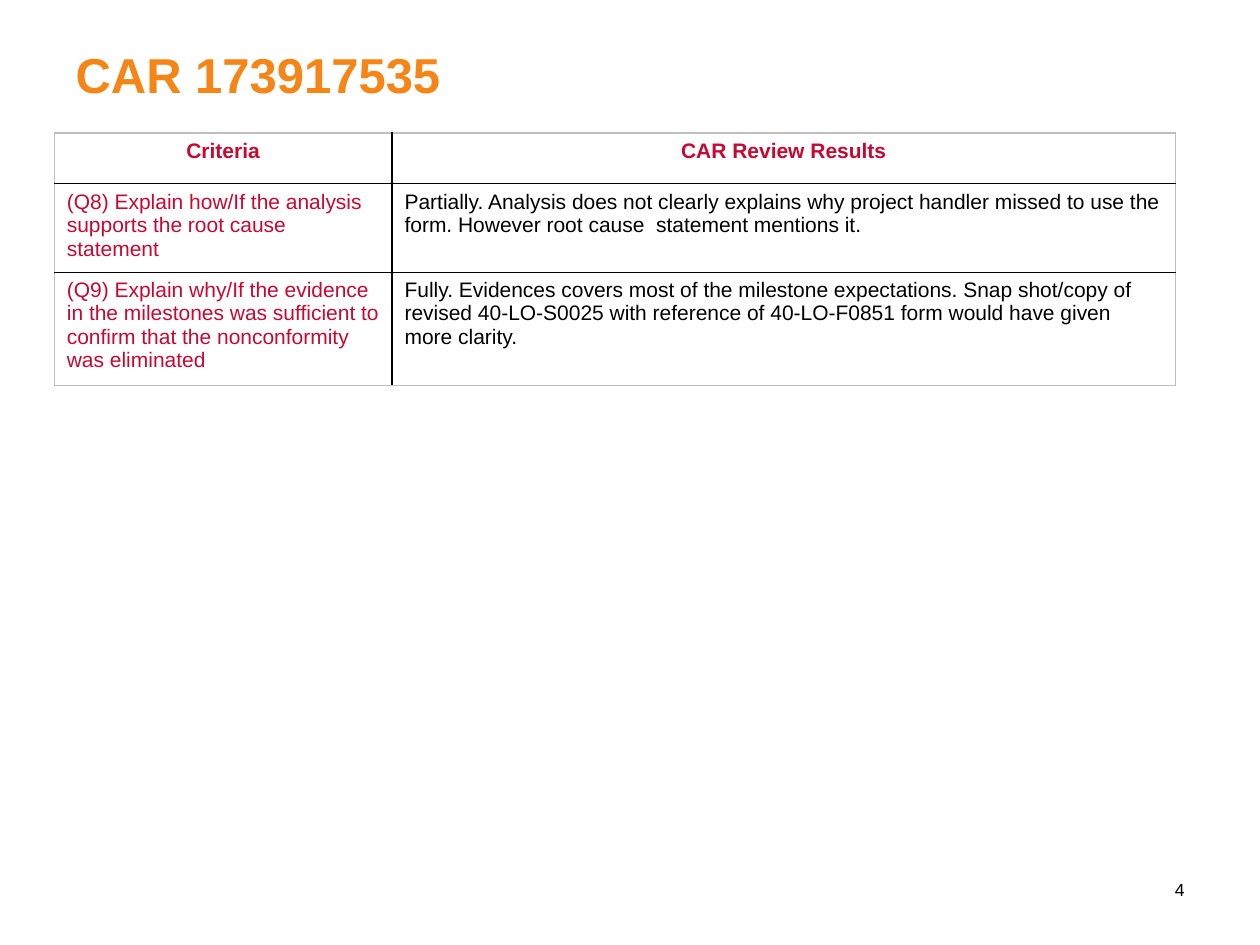
from lxml.etree import SubElement
from pptx import Presentation
from pptx.dml.color import RGBColor
from pptx.enum.text import MSO_ANCHOR as Anchor, PP_ALIGN as Align
from pptx.oxml.ns import qn
from pptx.util import Pt

COLORS = {"orange": "F58517", "red": "C70932", "black": "000000",
          "white": "FFFFFF", "gray": "BFBFBF"}
HEADER = {"size": Pt(12), "bold": True, "color": "red"}
CRITERION = {"size": Pt(12), "bold": False, "color": "red"}
RESULT = {"size": Pt(12), "bold": False, "color": "black"}
ROWS = [
    ("Criteria", "CAR Review Results"),
    ("(Q8) Explain how/If the analysis supports the root cause statement\u00a0",
     "Partially. Analysis does not clearly explains why project handler missed "
     "to use the form. However root cause  statement mentions it."),
    ("(Q9) Explain why/If the evidence in the milestones was sufficient to "
     "confirm that the nonconformity was eliminated",
     "Fully. Evidences covers most of the milestone expectations. Snap shot/copy "
     "of revised 40-LO-S0025 with reference of 40-LO-F0851 form would have "
     "given more clarity."),
]
COLUMN_WIDTHS = [193, 447.8]
ROW_HEIGHTS = [29, 47.7, 60.9]


def write_text(text_frame, text, style, alignment=Align.LEFT):
    paragraph = text_frame.paragraphs[0]
    paragraph.alignment = alignment
    run = paragraph.add_run()
    run.text = text
    run.font.name = "Arial"
    run.font.color.rgb = RGBColor.from_string(COLORS[style["color"]])
    for name, value in style.items():
        if name != "color":
            setattr(run.font, name, value)


def place(shape, box):
    for name, value in zip(("left", "top", "width", "height"), box):
        setattr(shape, name, Pt(value))


def add_title(slide, box):
    title = slide.shapes.title
    place(title, box)
    title.text_frame.vertical_anchor = Anchor.TOP
    write_text(title.text_frame, "CAR 173917535",
               {"size": Pt(28), "bold": True, "color": "orange"})


def set_borders(cell, borders):
    properties = cell._tc.get_or_add_tcPr()
    for side, (color, width) in zip("LRTB", borders):
        line = SubElement(properties, qn(f"a:ln{side}"), w=str(Pt(width)))
        fill = SubElement(line, qn("a:solidFill"))
        SubElement(fill, qn("a:srgbClr"), val=COLORS[color])


def add_review_table(slide, box):
    row_count, column_count = len(ROWS), len(COLUMN_WIDTHS)
    table = slide.shapes.add_table(row_count, column_count, *map(Pt, box)).table
    table.first_row = table.horz_banding = False
    for column, width in zip(table.columns, COLUMN_WIDTHS):
        column.width = Pt(width)
    for row, height in zip(table.rows, ROW_HEIGHTS):
        row.height = Pt(height)

    side_lines = [("gray", 0.5), ("black", 1), ("gray", 0.5)]
    level_lines = [("gray", 1), ("black", 1), ("black", 0.5), ("gray", 1)]
    for i, texts in enumerate(ROWS):
        for j, text in enumerate(texts):
            cell = table.cell(i, j)
            set_borders(cell, side_lines[j:j + 2] + level_lines[i:i + 2])
            cell.fill.solid()
            cell.fill.fore_color.rgb = RGBColor.from_string(COLORS["white"])
            style = HEADER if i == 0 else (CRITERION, RESULT)[j]
            write_text(cell.text_frame, text, style,
                       Align.CENTER if i == 0 else Align.LEFT)


def add_page_number(slide, box):
    text_frame = slide.shapes.add_textbox(*map(Pt, box)).text_frame
    text_frame.word_wrap = True
    text_frame.vertical_anchor = Anchor.MIDDLE
    write_text(text_frame, "4", {"size": Pt(10), "color": "black"}, Align.RIGHT)


def main():
    presentation = Presentation()
    presentation.slide_width, presentation.slide_height = Pt(720), Pt(540)
    slide = presentation.slides.add_slide(presentation.slide_layouts[5])
    add_title(slide, (36, 21.6, 648, 90))
    add_page_number(slide, (633.6, 494, 50.4, 28.8))
    add_review_table(slide, (31, 76, sum(COLUMN_WIDTHS), sum(ROW_HEIGHTS)))
    presentation.save("out.pptx")


if __name__ == "__main__":
    main()
